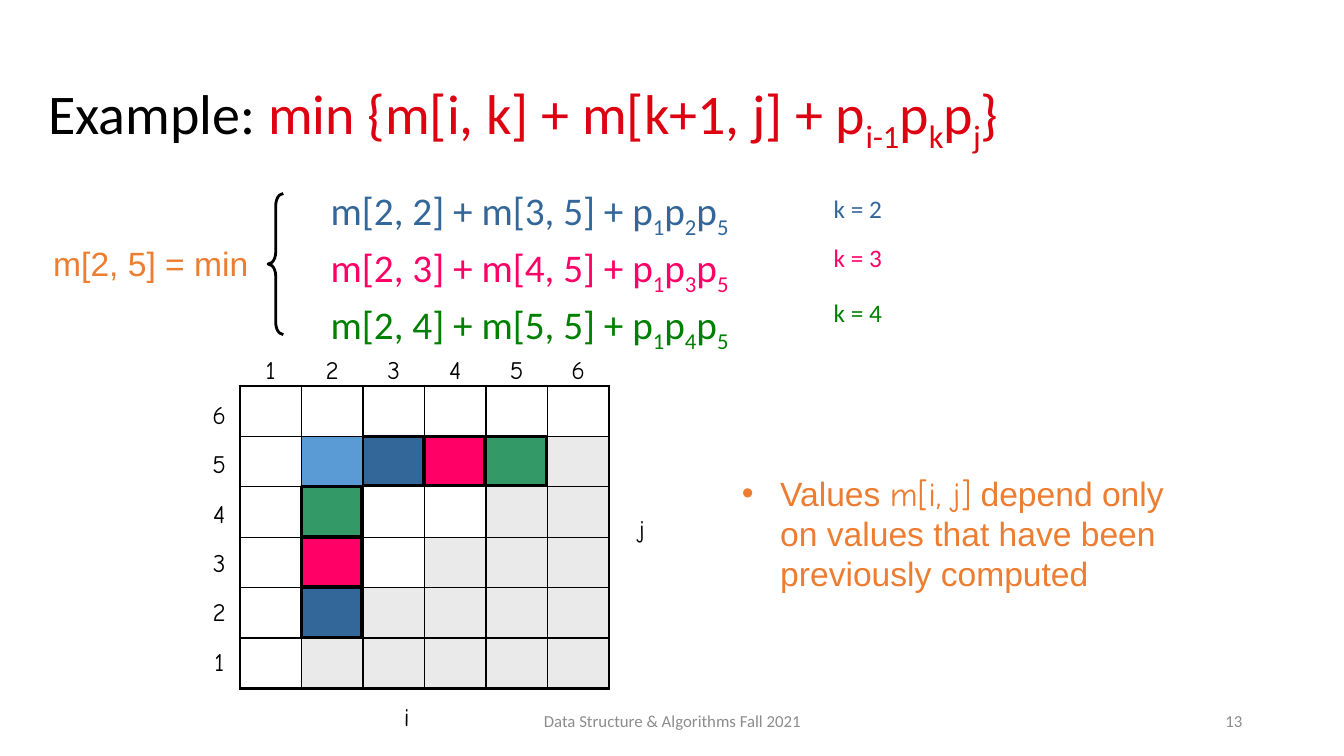
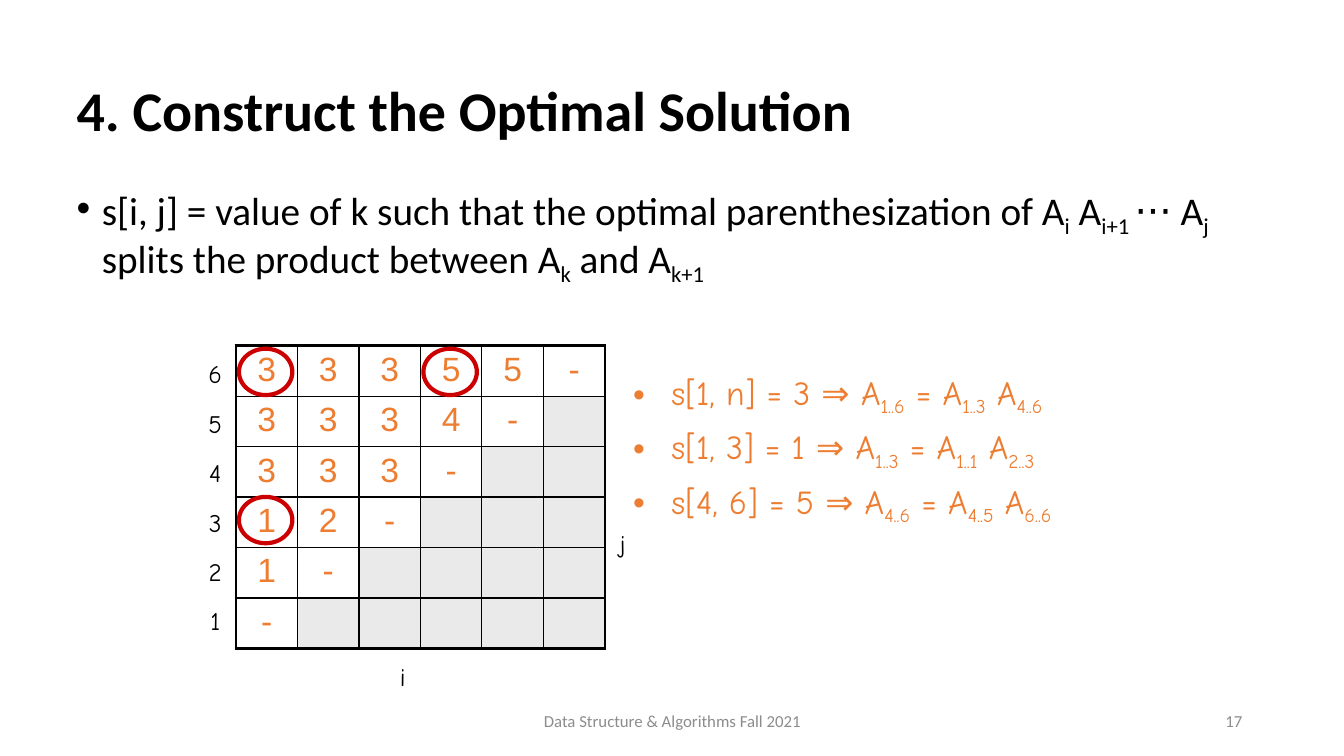
from lxml import etree
from pptx import Presentation
from pptx.dml.color import RGBColor
from pptx.enum.shapes import MSO_SHAPE
from pptx.enum.text import MSO_ANCHOR, MSO_AUTO_SIZE, PP_ALIGN
from pptx.oxml.ns import qn
from pptx.util import Inches, Pt

LEFT, MID, RIGHT = PP_ALIGN.LEFT, PP_ALIGN.CENTER, PP_ALIGN.RIGHT
TOP, HALF = MSO_ANCHOR.TOP, MSO_ANCHOR.MIDDLE
FIXED = MSO_AUTO_SIZE.NONE
RECT, OVAL, BRACE = MSO_SHAPE.RECTANGLE, MSO_SHAPE.OVAL, MSO_SHAPE.LEFT_BRACE

COLORS = {
    "black": "000000", "grey": "8C8C8C", "shade": "EAEAEA", "orange": "ED7D31",
    "red": "DD0111", "ring": "CC0000", "navy": "336699", "pink": "FF0066",
    "green": "008000", "leaf": "339966", "sky": "5B9BD5",
}
SANS, PLAIN, HAND = "Calibri", "Arial", "Comic Neue"
COLS, ROWS = 13.33, 7.5
SIZE = 6
CELL = 0.61

deck = Presentation()
deck.slide_width, deck.slide_height = Inches(COLS), Inches(ROWS)


def paint(name):
    """Return the named colour."""
    return RGBColor.from_string(COLORS[name])


def span(box):
    """Turn grid columns and rows into slide lengths."""
    col, row = deck.slide_width / COLS, deck.slide_height / ROWS
    return [round(part * unit) for part, unit in zip(box, (col, row, col, row))]


def write(par, text, size, font, color, bold=False):
    """Add runs to a paragraph; parts between tildes are subscripts."""
    for spot, part in enumerate(text.split("~")):
        if not part:
            continue
        run = par.add_run()
        run.text = part
        run.font.size, run.font.name, run.font.bold = Pt(size), font, bold
        run.font.color.rgb = paint(color)
        if spot % 2:
            run._r.get_or_add_rPr().set("baseline", "-25000")


def indent(par, left, hang=0, mark=None):
    """Set the indent and the bullet of a paragraph."""
    props = par._p.get_or_add_pPr()
    props.set("marL", str(Inches(left)))
    props.set("indent", str(Inches(-hang)))
    if mark:
        etree.SubElement(props, qn("a:buFont"), typeface=PLAIN)
        etree.SubElement(props, qn("a:buChar"), char=mark)
    else:
        etree.SubElement(props, qn("a:buNone"))


def label(slide, box, text, size, font, color, align=LEFT, anchor=TOP, pad=0.1):
    """Add one line of text in a box."""
    frame = slide.shapes.add_textbox(*span(box)).text_frame
    frame.word_wrap = True
    frame.vertical_anchor = anchor
    frame.margin_left = frame.margin_right = Inches(pad)
    par = frame.paragraphs[0]
    par.alignment = align
    write(par, text, size, font, color)


def draw(slide, kind, box, line, width, fill=None):
    """Add an outlined preset shape."""
    shape = slide.shapes.add_shape(kind, *span(box))
    shape.shadow.inherit = False
    shape.line.color.rgb = paint(line)
    shape.line.width = Pt(width)
    if fill:
        shape.fill.solid()
        shape.fill.fore_color.rgb = paint(fill)
    else:
        shape.fill.background()
    return shape


def hold(shape, box, anchor):
    """Move a placeholder and return its text frame."""
    shape.left, shape.top, shape.width, shape.height = span(box)
    frame = shape.text_frame
    frame.auto_size, frame.word_wrap = FIXED, True
    frame.vertical_anchor = anchor
    return frame


def start(left, parts, page, bold=False):
    """Add a slide with its title and footer."""
    slide = deck.slides.add_slide(deck.slide_layouts[1])
    frame = hold(slide.shapes.title, (left, 0.4, COLS - left, 1.45), HALF)
    par = frame.paragraphs[0]
    par.alignment, par.line_spacing = LEFT, 0.9
    for text, color in parts:
        write(par, text, 40, SANS, color, bold)
    label(slide, (4.42, 6.95, 4.5, 0.4), "Data Structure & Algorithms Fall 2021",
          12, SANS, "grey", MID, HALF)
    label(slide, (9.42, 6.95, 3, 0.4), page, 12, SANS, "grey", RIGHT, HALF)
    return slide


def edge(cell, row, col):
    """Draw cell borders, heavy along the rim of the table."""
    props = cell._tc.get_or_add_tcPr()
    rims = {"L": col == 0, "R": col == SIZE - 1, "T": row == 0, "B": row == SIZE - 1}
    for side, rim in rims.items():
        line = etree.SubElement(props, qn("a:ln" + side), w=str(Pt(2.25 if rim else 1)))
        fill = etree.SubElement(line, qn("a:solidFill"))
        etree.SubElement(fill, qn("a:srgbClr"), val=COLORS["black"])


def matrix(slide, left, top, step, spot, values=(), fills=()):
    """Add the triangular table with its row numbers and axis names."""
    box = (left, top, SIZE * CELL, SIZE * step)
    table = slide.shapes.add_table(SIZE, SIZE, *span(box)).table
    table.first_row = table.horz_banding = False
    for row in range(SIZE):
        for col in range(SIZE):
            cell = table.cell(row, col)
            edge(cell, row, col)
            color = "shade" if row + col >= SIZE else dict(fills).get((row, col))
            if color:
                cell.fill.solid()
                cell.fill.fore_color.rgb = paint(color)
            else:
                cell.fill.background()
            if values and col < len(values[row]):
                par = cell.text_frame.paragraphs[0]
                par.alignment = MID
                write(par, values[row][col], 24, PLAIN, "orange")
        tag(slide, left - 0.38, top + 0.08 + row * 0.49, str(SIZE - row))
    tag(slide, left + 1.48, top + 3.08, "i")
    tag(slide, left + spot[0], top + spot[1], "j")


def tag(slide, left, top, text):
    """Add a small axis label."""
    label(slide, (left, top, 0.35, 0.4), text, 18, HAND, "black", MID, pad=0)


def points(slide, box, lines):
    """Add a bulleted list, each line a list of text and font pairs."""
    frame = slide.shapes.add_textbox(*span(box)).text_frame
    frame.word_wrap = True
    for spot, parts in enumerate(lines):
        par = frame.add_paragraph() if spot else frame.paragraphs[0]
        par.space_before = Pt(6)
        indent(par, 0.38, 0.38, "•")
        for text, font in parts:
            write(par, text, 24, font, "orange")


def choices(slide):
    """List the three candidate sums beside the brace."""
    sums = (
        ("m[2, 2] + m[3, 5] + p~1~p~2~p~5~", "navy", "k = 2", 1.87),
        ("m[2, 3] + m[4, 5] + p~1~p~3~p~5~", "pink", "k = 3", 2.36),
        ("m[2, 4] + m[5, 5] + p~1~p~4~p~5~", "green", "k = 4", 2.9),
    )
    frame = hold(slide.placeholders[1], (0, 1.85, 8.69, 1.61), TOP)
    for spot, (text, color, note, top) in enumerate(sums):
        par = frame.add_paragraph() if spot else frame.paragraphs[0]
        par.line_spacing, par.space_before = 0.8, Pt(10)
        indent(par, 3.18)
        write(par, text, 28, SANS, color)
        label(slide, (8.17, top, 0.75, 0.4), note, 18, SANS, color)
    brace = draw(slide, BRACE, (2.66, 1.92, 0.15, 1.4), "black", 2)
    brace.adjustments[0] = 0.79
    label(slide, (0.43, 2.36, 2.57, 0.68), "m[2, 5] = min", 24, PLAIN, "orange")


def example():
    """Build the slide on computing one table entry."""
    title = [("Example: ", "black"),
             ("min {m[i, k] + m[k+1, j] + p~i-1~p~k~p~j~}", "red")]
    slide = start(0.38, title, "13")
    choices(slide)
    left, top, step = 2.38, 3.83, 0.5
    matrix(slide, left, top, step, (3.81, 1.21), fills={(1, 1): "sky"})
    for col in range(SIZE):
        tag(slide, left + col * CELL + 0.13, top - 0.36, str(col + 1))
    for spot, color in enumerate(("navy", "pink", "leaf")):
        for row, col in ((4 - spot, 1), (1, 2 + spot)):
            box = (left + col * CELL, top + row * step, 0.6, 0.49)
            draw(slide, RECT, box, "black", 2, color)
    points(slide, (7.26, 4.64, 4.65, 2.57), [[
        ("Values ", PLAIN), ("m[i, j]", HAND),
        (" depend only on values that have been previously computed", PLAIN)]])


def solution():
    """Build the slide on reading the optimal splits."""
    slide = start(0.66, [("4. Construct the Optimal Solution", "black")], "17", True)
    par = hold(slide.placeholders[1], (0.66, 1.8, 12.08, 5.55), TOP).paragraphs[0]
    par.line_spacing, par.space_before = 0.9, Pt(10)
    indent(par, 0.25, 0.25, "•")
    write(par, "s[i, j] = value of k such that the optimal parenthesization of "
          "A~i~ A~i+1 ~⋅⋅⋅ A~j~ splits the product between A~k~ and A~k+1~",
          28, SANS, "black")
    left, top, step = 2.34, 3.43, 0.49
    matrix(slide, left, top, step, (3.66, 1.76),
           values=("33355-", "3334-", "333-", "12-", "1-", "-"))
    points(slide, (6.18, 3.64, 5.15, 2.37), [[(text, HAND)] for text in (
        "s[1, n] = 3 ⇒ A~1..6~ = A~1..3~ A~4..6~",
        "s[1, 3] = 1 ⇒ A~1..3~ = A~1..1~ A~2..3~",
        "s[4, 6] = 5 ⇒ A~4..6~ = A~4..5~ A~6..6~")])
    for row, col in ((0, 0), (3, 0), (0, 3)):
        box = (left + col * CELL + 0.03, top + row * step + 0.03, 0.53, 0.46)
        draw(slide, OVAL, box, "ring", 3)


example()
solution()
deck.save("out.pptx")
